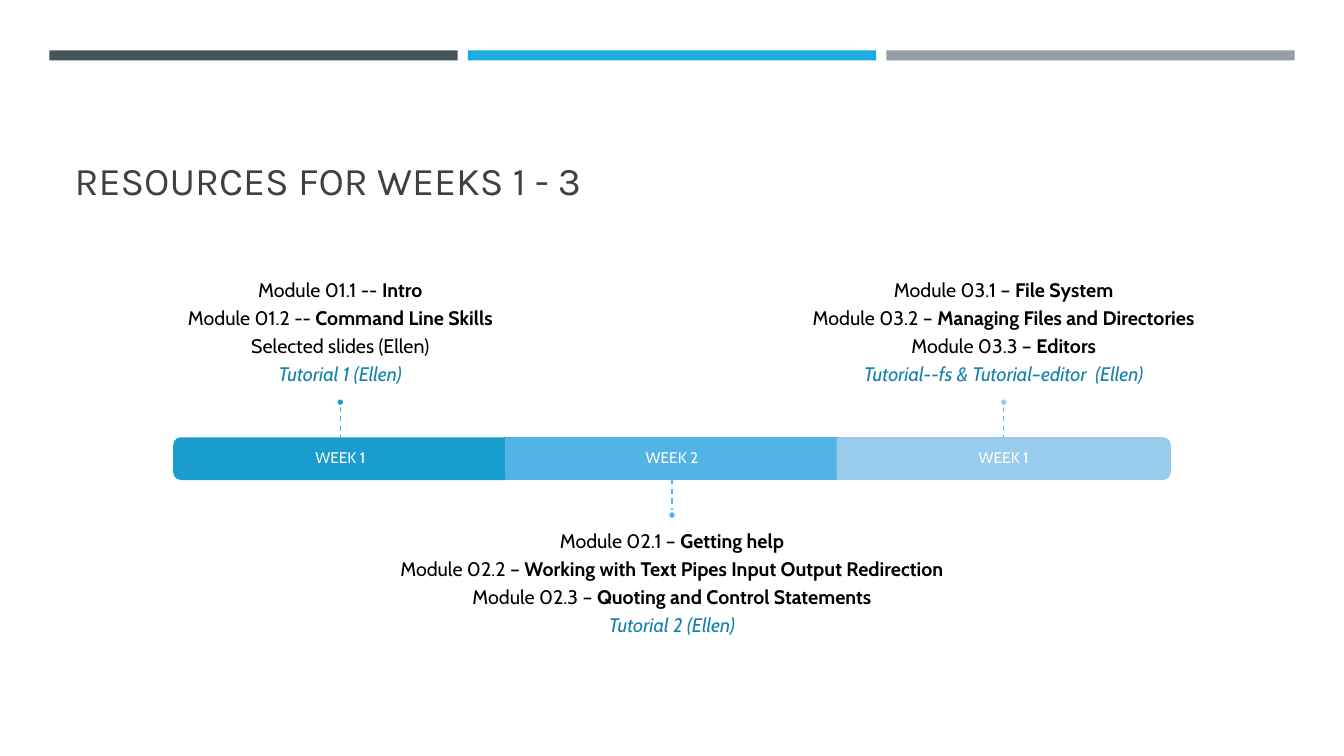
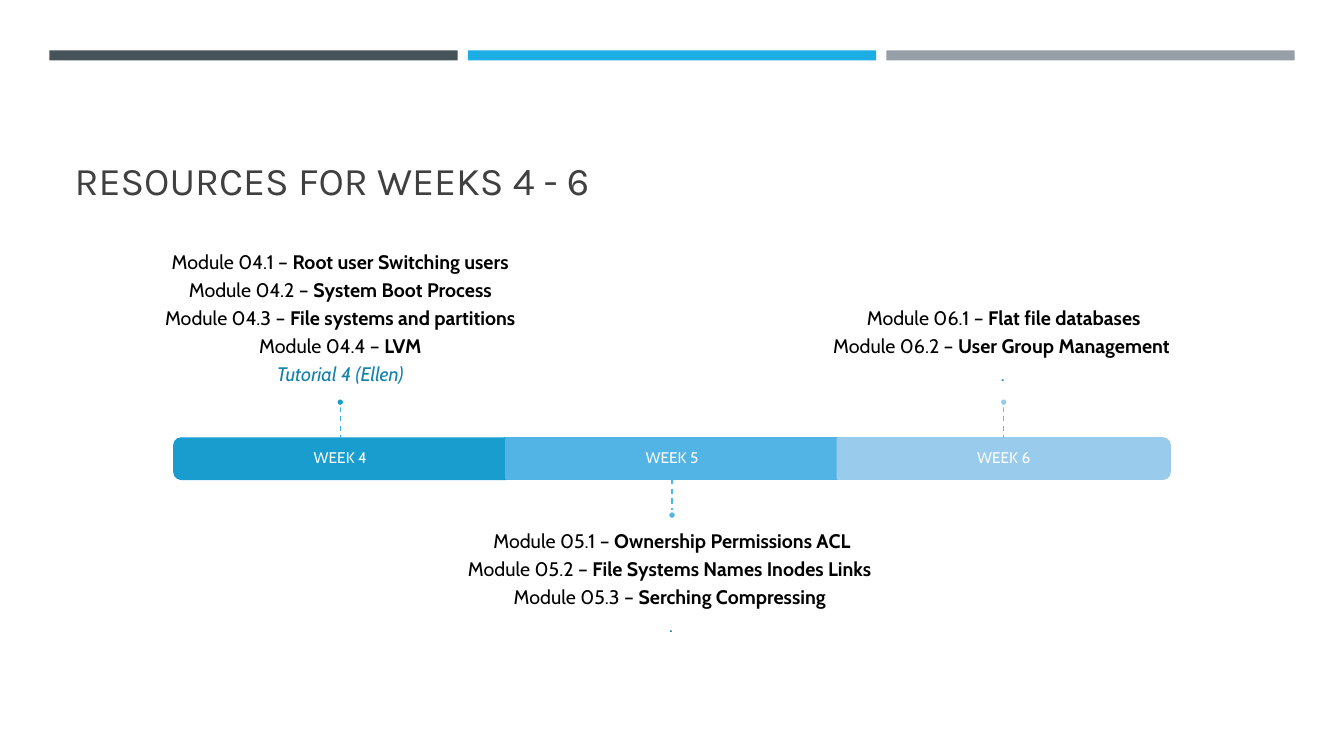
from lxml.etree import SubElement
from pptx import Presentation
from pptx.dml.color import RGBColor
from pptx.enum.dml import MSO_LINE
from pptx.enum.shapes import MSO_CONNECTOR, MSO_SHAPE
from pptx.enum.text import MSO_ANCHOR as Anchor, PP_ALIGN as Align
from pptx.oxml.ns import qn
from pptx.util import Inches, Pt

COLORS = {
    "slate": "465359", "cyan": "1CADE4", "gray": "969FA7",
    "title": "404040", "body": "000000", "note": "1482AC", "white": "FFFFFF",
}
TITLE_FONT, BODY_FONT = "Karla", "Cabin"
TITLE_ONLY = 5

BAR_LEFT, BAR_TOP, BAR_HEIGHT = 1.73, 4.35, 0.4
WEEK_WIDTH = 3.29
STEM, DOT = 0.32, 0.08
NOTES_WIDTH, NOTES_HEIGHT, NOTES_INSET = 5.48, 1.39, 0.12

# Segment shape, rotation, fill, stem colour, notes above the bar
WEEK_STYLES = [
    (MSO_SHAPE.ROUND_2_SAME_RECTANGLE, 270, "199DCF", "36B3E9", True),
    (MSO_SHAPE.RECTANGLE, 0, "52B3E5", "48B8EC", False),
    (MSO_SHAPE.ROUND_2_SAME_RECTANGLE, 90, "99CBEC", "5ABEEF", True),
]

# Title, then for each week: label, (lead, topic) lines, closing note
SLIDES = [
    ("RESOURCES FOR WEEKS 1 - 3", [
        ("WEEK 1", [("Module 01.1 -- ", "Intro"),
                    ("Module 01.2 -- ", "Command Line Skills"),
                    ("Selected slides (Ellen)", "")],
         "Tutorial 1 (Ellen)"),
        ("WEEK 2", [("Module 02.1 – ", "Getting help"),
                    ("Module 02.2 – ", "Working with Text Pipes Input Output Redirection"),
                    ("Module 02.3 – ", "Quoting and Control Statements")],
         "Tutorial 2 (Ellen)"),
        ("WEEK 1", [("Module 03.1 – ", "File System"),
                    ("Module 03.2 – ", "Managing Files and Directories"),
                    ("Module 03.3 – ", "Editors")],
         "Tutorial--fs & Tutorial–editor  (Ellen)"),
    ]),
    ("RESOURCES FOR WEEKS 4 - 6", [
        ("WEEK 4", [("Module 04.1 – ", "Root user Switching users"),
                    ("Module 04.2 – ", "System Boot Process"),
                    ("Module 04.3 – ", "File systems and partitions"),
                    ("Module 04.4 – ", "LVM")],
         "Tutorial 4 (Ellen)"),
        ("WEEK 5", [("Module 05.1 – ", "Ownership Permissions ACL"),
                    ("Module 05.2 – ", "File Systems Names Inodes Links "),
                    ("Module 05.3 – ", "Serching Compressing ")],
         "."),
        ("WEEK 6", [("Module 06.1 – ", "Flat file databases"),
                    ("Module 06.2 – ", "User Group Management ")],
         "."),
    ]),
]


def rgb(color):
    return RGBColor.from_string(COLORS.get(color, color))


def add_span(para, text, size, color, font=BODY_FONT, bold=False, italic=False):
    span = para.add_run()
    span.text = text
    span.font.name, span.font.size = font, Pt(size)
    span.font.bold, span.font.italic = bold, italic
    span.font.color.rgb = rgb(color)


def add_filled(slide, kind, left, top, width, height, fill, line=None):
    shape = slide.shapes.add_shape(
        kind, Inches(left), Inches(top), Inches(width), Inches(height))
    shape.shadow.inherit = False
    shape.fill.solid()
    shape.fill.fore_color.rgb = rgb(fill)
    if line:
        shape.line.color.rgb = rgb(line)
        shape.line.width = Pt(1.75)
    else:
        shape.line.fill.background()
    return shape


def add_text(slide, left, top, width, height, lines, anchor, top_inset=0, bottom_inset=0):
    """Add centred paragraphs; each line is a list of (text, size, colour, styles)."""
    box = slide.shapes.add_textbox(
        Inches(left), Inches(top), Inches(width), Inches(height))
    frame = box.text_frame
    frame.word_wrap = True
    frame.vertical_anchor = anchor
    frame.margin_left = frame.margin_right = 0
    frame.margin_top, frame.margin_bottom = Inches(top_inset), Inches(bottom_inset)
    for index, spans in enumerate(lines):
        para = frame.add_paragraph() if index else frame.paragraphs[0]
        para.alignment = Align.CENTER
        para.line_spacing = 0.9
        para.space_after = Pt(4.9)
        for text, size, color, styles in spans:
            add_span(para, text, size, color, **styles)


def add_dashed_line(slide, x, top, bottom, color):
    line = slide.shapes.add_connector(
        MSO_CONNECTOR.STRAIGHT, Inches(x), Inches(top), Inches(x), Inches(bottom))
    line.line.color.rgb = rgb(color)
    line.line.width = Pt(1)
    line.line.dash_style = MSO_LINE.DASH
    SubElement(line._element.spPr, qn("a:effectLst"))


def add_bands(slide):
    for index, color in enumerate(("slate", "cyan", "gray")):
        add_filled(slide, MSO_SHAPE.RECTANGLE, 0.49 + index * 4.15, 0.5, 4.05, 0.1, color)


def set_title(slide, text):
    title = slide.shapes.title
    title.left, title.top = Inches(0.64), Inches(0.77)
    title.width, title.height = Inches(12.06), Inches(1.3)
    title.text_frame.vertical_anchor = Anchor.BOTTOM
    para = title.text_frame.paragraphs[0]
    para.alignment = Align.LEFT
    add_span(para, text, 28, "title", TITLE_FONT)


def add_segment(slide, center, kind, rotation, fill):
    """Add one part of the bar; a turned part is laid out upright first."""
    width, height = (BAR_HEIGHT, WEEK_WIDTH) if rotation else (WEEK_WIDTH, BAR_HEIGHT)
    middle = BAR_TOP + BAR_HEIGHT / 2
    segment = add_filled(slide, kind, center - width / 2, middle - height / 2,
                         width, height, fill, fill)
    segment.rotation = rotation


def add_week(slide, index, label, modules, note):
    kind, rotation, fill, stem_color, above = WEEK_STYLES[index]
    left = BAR_LEFT + index * WEEK_WIDTH
    center = left + WEEK_WIDTH / 2
    bar_bottom = BAR_TOP + BAR_HEIGHT

    add_segment(slide, center, kind, rotation, fill)
    add_text(slide, left, BAR_TOP, WEEK_WIDTH, BAR_HEIGHT,
             [[(label, 11, "white", {})]], Anchor.MIDDLE, 0.09, 0.09)

    lines = [[(text, 14, "body", {"bold": bold})
              for text, bold in ((lead, False), (topic, True)) if text]
             for lead, topic in modules]
    lines.append([(note, 14, "note", {"italic": True})])
    if above:
        stem_top, dot_top = BAR_TOP - STEM, BAR_TOP - STEM - DOT
        notes_top, anchor, insets = dot_top - NOTES_HEIGHT, Anchor.BOTTOM, (0, NOTES_INSET)
    else:
        stem_top, dot_top = bar_bottom, bar_bottom + STEM
        notes_top, anchor, insets = dot_top + DOT, Anchor.TOP, (NOTES_INSET, 0)
    add_text(slide, center - NOTES_WIDTH / 2, notes_top, NOTES_WIDTH, NOTES_HEIGHT,
             lines, anchor, *insets)
    add_dashed_line(slide, center, stem_top, stem_top + STEM, stem_color)
    add_filled(slide, MSO_SHAPE.OVAL, center - DOT / 2, dot_top, DOT, DOT, fill, "white")


def main():
    deck = Presentation()
    deck.slide_width, deck.slide_height = Inches(13.33), Inches(7.5)
    for title, weeks in SLIDES:
        slide = deck.slides.add_slide(deck.slide_layouts[TITLE_ONLY])
        add_bands(slide)
        set_title(slide, title)
        for index, week in enumerate(weeks):
            add_week(slide, index, *week)
    deck.save("out.pptx")


if __name__ == "__main__":
    main()
